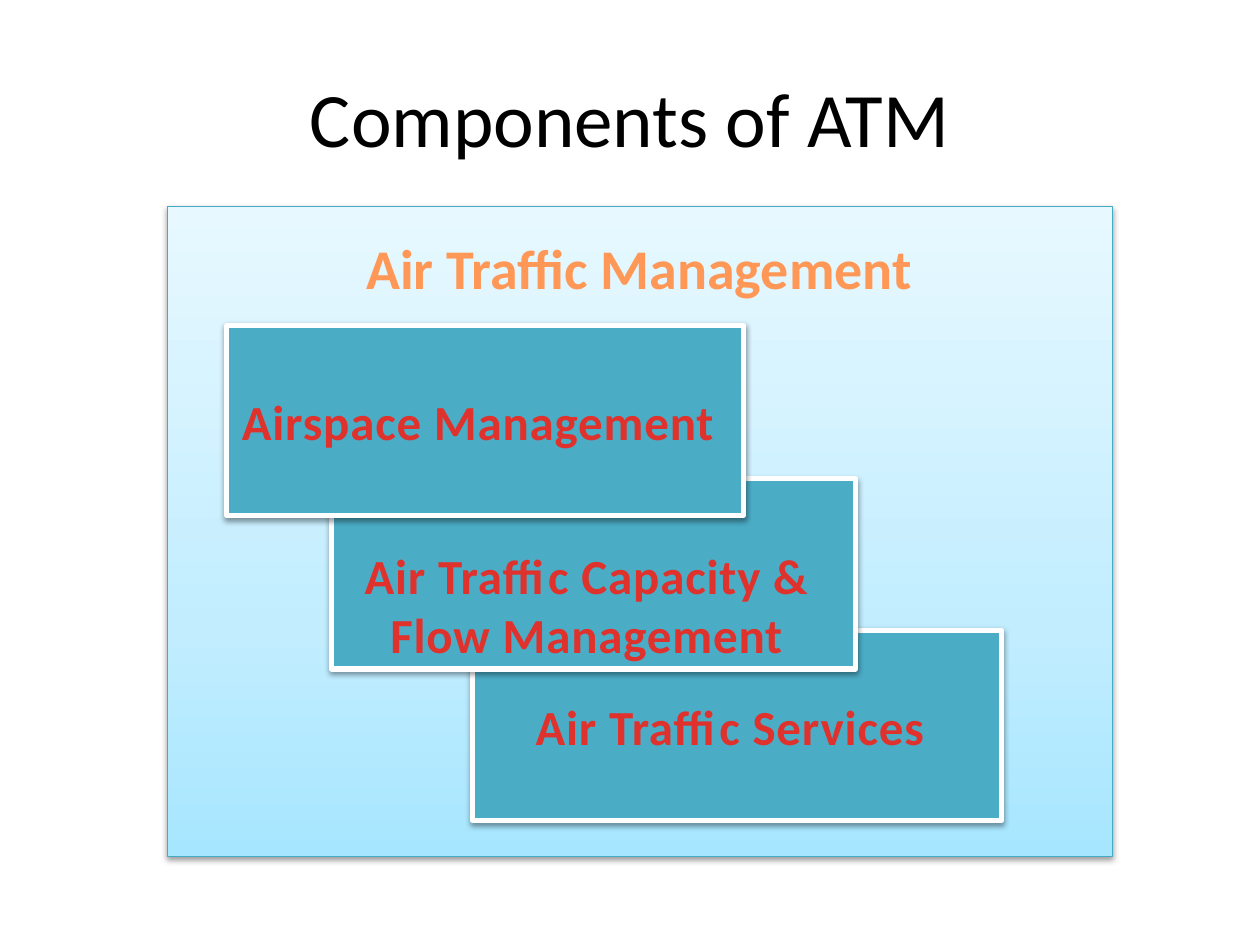
from copy import deepcopy

from lxml import etree
from pptx import Presentation
from pptx.dml.color import RGBColor
from pptx.enum.shapes import MSO_SHAPE
from pptx.enum.text import MSO_ANCHOR, PP_ALIGN
from pptx.oxml.ns import qn
from pptx.util import Pt

RECTANGLE = MSO_SHAPE.RECTANGLE
CENTER, LEFT = PP_ALIGN.CENTER, PP_ALIGN.LEFT
TOP, MIDDLE = MSO_ANCHOR.TOP, MSO_ANCHOR.MIDDLE
TITLE_ONLY = 5
FONT = "Calibri"
COLORS = {
    "title": "000000",
    "heading": "FF9856",
    "label": "E0322D",
    "card": "4BACC6",
    "card_line": "FFFFFF",
    "panel_line": "46AAC5",
    "shadow": "000000",
}
PANEL_STOPS = [(0, "A7E6FF"), (0.35, "C1EDFF"), (1, "E7F8FF")]
CARDS = [
    (174.2, 242, 302.4, ["Air Traffic Services"]),
    (93.6, 155.5, 299.5, ["Air Traffic Capacity &", "Flow Management"]),
    (33.8, 67.7, 295.2, ["Airspace Management"]),
]
CARD_HEIGHT = 108.7


def rgb(name):
    """Return the named palette colour."""
    return RGBColor.from_string(COLORS[name])


def add_span(para, text, size, color, bold=False, align=CENTER, spacing=0):
    """Add one formatted run to a paragraph."""
    para.alignment = align
    span = para.add_run()
    span.text = text
    span.font.name = FONT
    span.font.size = Pt(size)
    span.font.bold = bold
    span.font.color.rgb = rgb(color)
    if spacing:
        span.font._element.set("spc", str(int(spacing * 100)))


def add_rectangle(page, box, line_color, line_width):
    """Add an outlined rectangle with a soft shadow below it."""
    shape = page.shapes.add_shape(RECTANGLE, *map(Pt, box))
    shape.line.color.rgb = rgb(line_color)
    shape.line.width = Pt(line_width)
    shape.shadow.inherit = False
    effects = shape._element.spPr.find(qn("a:effectLst"))
    shadow = etree.SubElement(
        effects, qn("a:outerShdw"), blurRad=str(Pt(3.1)), dist=str(Pt(1.6)),
        dir="5400000", rotWithShape="0")
    tint = etree.SubElement(shadow, qn("a:srgbClr"), val=COLORS["shadow"])
    etree.SubElement(tint, qn("a:alpha"), val="38000")
    return shape


def add_title(page, box):
    """Place and fill the title placeholder."""
    title = page.shapes.title
    title.left, title.top, title.width, title.height = map(Pt, box)
    title.text_frame.vertical_anchor = MIDDLE
    add_span(title.text_frame.paragraphs[0], "Components of ATM", 44, "title")


def add_card(page, box, lines):
    """Add one component card with its label below the middle inset."""
    card = add_rectangle(page, box, "card_line", 3)
    card.fill.solid()
    card.fill.fore_color.rgb = rgb("card")
    frame = card.text_frame
    frame.word_wrap = True
    frame.vertical_anchor = TOP
    frame.margin_top, frame.margin_bottom = Pt(38), Pt(0)
    frame.margin_left, frame.margin_right = Pt(4), Pt(12)
    for index, line in enumerate(lines):
        para = frame.add_paragraph() if index else frame.paragraphs[0]
        add_span(para, line, 28, "label", bold=True, spacing=0.5)


def add_panel(page, box):
    """Add the gradient panel with its cards and heading."""
    left, top = box[:2]
    panel = add_rectangle(page, box, "panel_line", 0.75)
    panel.fill.gradient()
    panel.fill.gradient_angle = 90
    stop_list = panel._element.spPr.find(qn("a:gradFill")).find(qn("a:gsLst"))
    stop_list.append(deepcopy(stop_list[0]))
    for stop, (position, color) in zip(panel.fill.gradient_stops, PANEL_STOPS):
        stop.position = position
        stop.color.rgb = RGBColor.from_string(color)
    for x, y, width, lines in CARDS:
        add_card(page, (left + x, top + y, width, CARD_HEIGHT), lines)
    heading_box = (left + 106.5, top + 11.5, 348.5, 46)
    heading = page.shapes.add_textbox(*map(Pt, heading_box))
    heading.text_frame.word_wrap = True
    add_span(heading.text_frame.paragraphs[0], "Air Traffic Management", 32,
             "heading", bold=True, align=LEFT)


def main():
    """Build and save the deck."""
    deck = Presentation()
    deck.slide_width, deck.slide_height = Pt(720), Pt(540)
    page = deck.slides.add_slide(deck.slide_layouts[TITLE_ONLY])
    add_title(page, (36, 21.6, 648, 90))
    add_panel(page, (95.8, 118.1, 540, 371.5))
    deck.save("out.pptx")


main()
